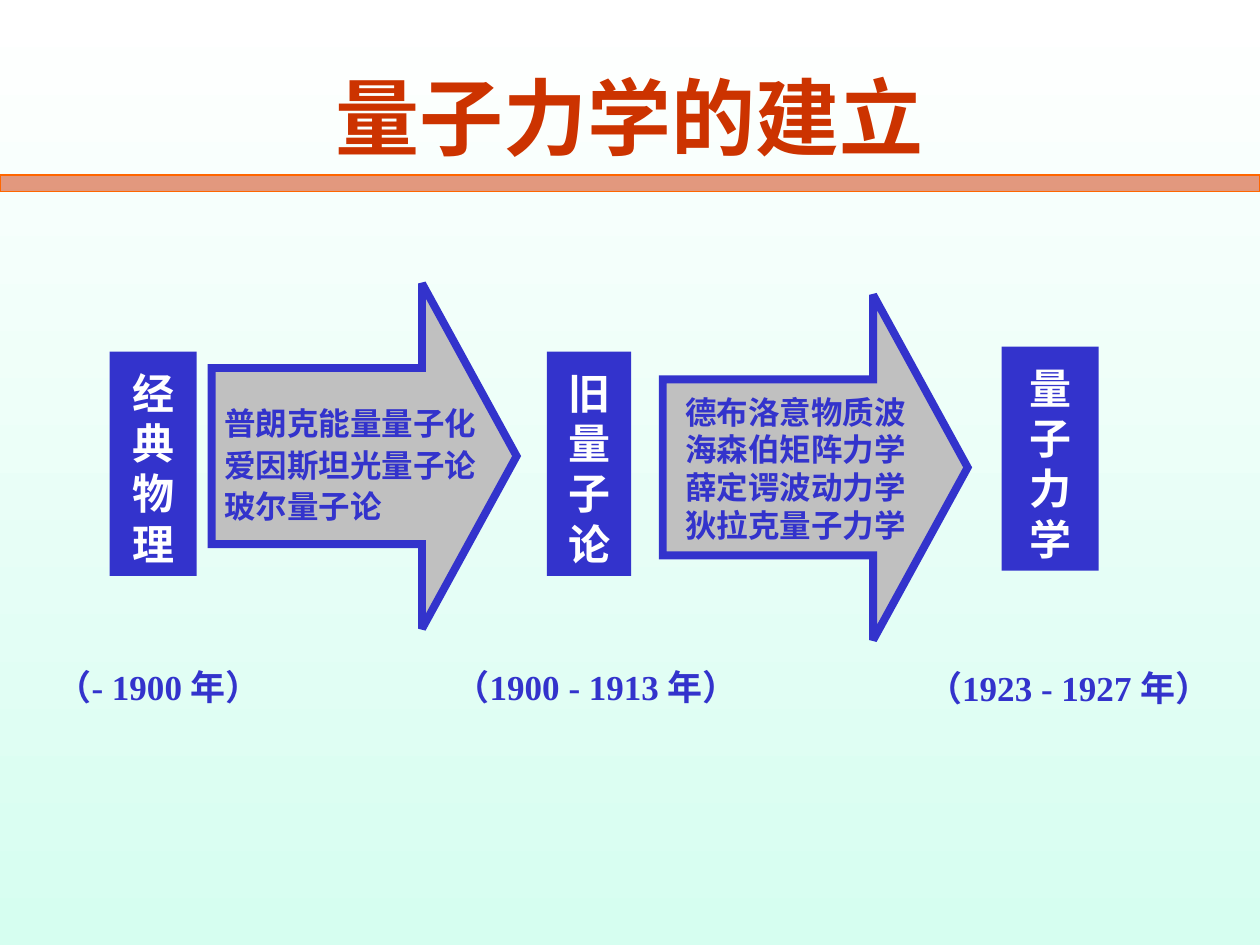
from dataclasses import dataclass

import lxml.etree
import pptx
import pptx.dml.color
import pptx.enum.shapes
import pptx.enum.text
import pptx.oxml.ns
import pptx.util

COLS, ROWS = 100, 75
BLUE, RED, GREY, WHITE = "3333CC", "CC3300", "C0C0C0", "FFFFFF"
SERIF, SANS = "Times New Roman", "Noto Sans CJK SC"
RECT = pptx.enum.shapes.MSO_SHAPE.RECTANGLE
ARROW = pptx.enum.shapes.MSO_SHAPE.RIGHT_ARROW
ALIGN = pptx.enum.text.PP_ALIGN
qn = pptx.oxml.ns.qn


@dataclass
class Box:
    """An area in grid columns and rows."""
    col: float
    row: float
    cols: float
    rows: float


@dataclass
class Era:
    name: str
    years: str
    name_box: Box
    years_box: Box


@dataclass
class Step:
    lines: list[str]
    arrow_box: Box
    text_box: Box
    gap: float


ERAS = [
    Era("经典物理", "（- 1900 年）", Box(8.7, 27.9, 6.9, 17.8), Box(3.5, 51.6, 20.7, 5.1)),
    Era("旧量子论", "（1900 - 1913 年）", Box(43.4, 27.9, 6.7, 17.8), Box(35.1, 51.6, 26.7, 5.1)),
    Era("量子力学", "（1923 - 1927 年）", Box(79.5, 27.5, 7.7, 17.8), Box(72.6, 51.7, 25.8, 5.1)),
]
STEPS = [
    Step(["普朗克能量量子化", "爱因斯坦光量子论", "玻尔量子论"],
         Box(16.8, 22.5, 24.2, 27.4), Box(16.8, 30.9, 24.6, 11.4), 2.2),
    Step(["德布洛意物质波", "海森伯矩阵力学", "薛定谔波动力学", "狄拉克量子力学"],
         Box(52.6, 23.4, 24.2, 27.4), Box(53.4, 30, 20.5, 13.8), 0),
]

prs = pptx.Presentation()
prs.slide_width, prs.slide_height = pptx.util.Inches(10), pptx.util.Inches(7.5)


def rgb(color: str) -> pptx.dml.color.RGBColor:
    return pptx.dml.color.RGBColor.from_string(color)


def place(box: Box) -> tuple[int, int, int, int]:
    """Turn a grid area into left, top, width and height."""
    w, h = prs.slide_width / COLS, prs.slide_height / ROWS
    return round(box.col * w), round(box.row * h), round(box.cols * w), round(box.rows * h)


def write(sp, lines: list[str], size: float, color: str, font: str,
          align=ALIGN.LEFT, gap: float = 0) -> None:
    tf = sp.text_frame
    tf.text = "\n".join(lines)
    tf.word_wrap = True
    tf.auto_size = pptx.enum.text.MSO_AUTO_SIZE.NONE
    tf.vertical_anchor = pptx.enum.text.MSO_ANCHOR.TOP
    tf.margin_left = tf.margin_right = pptx.util.Inches(0.1)
    # Exact line spacing trims the top of the line; the inset gives it back.
    tf.margin_top = pptx.util.Pt(6.5 + 0.1 * size)
    tf.margin_bottom = 0
    for i, p in enumerate(tf.paragraphs):
        p.alignment = align
        p.line_spacing = pptx.util.Pt(1.2 * size)
        p.space_before = pptx.util.Pt(gap if i else 0)
        for r in p.runs:
            r.font.size, r.font.bold, r.font.name = pptx.util.Pt(size), True, font
            r.font.color.rgb = rgb(color)
            ea = lxml.etree.SubElement(r.font._element, qn("a:ea"))
            ea.set("typeface", SANS)


def add_shape(s, kind, box: Box, fill: str, line: str = "", width: float = 0):
    sp = s.shapes.add_shape(kind, *place(box))
    sp.shadow.inherit = False
    sp.fill.solid()
    sp.fill.fore_color.rgb = rgb(fill)
    if line:
        sp.line.color.rgb = rgb(line)
        sp.line.width = pptx.util.Pt(width)
        miter = lxml.etree.SubElement(sp.line._get_or_add_ln(), qn("a:miter"))
        miter.set("lim", "800000")
    else:
        sp.line.fill.background()
    return sp


def add_text(s, box: Box, lines: list[str], size: float, font: str, gap: float = 0) -> None:
    write(s.shapes.add_textbox(*place(box)), lines, size, BLUE, font, gap=gap)


def add_background(s) -> None:
    fill = s.background.fill
    fill.gradient()
    fill.gradient_angle = 270
    for stop, color, position in zip(fill.gradient_stops, (WHITE, "D6FEF0"), (0, 1)):
        stop.color.rgb, stop.position = rgb(color), position


def add_title(s, text: str) -> None:
    sp = s.shapes.title
    sp.left, sp.top, sp.width, sp.height = place(Box(25.6, 3.6, 55.9, 9.8))
    write(sp, [text], 48, RED, SERIF)


def add_era(s, era: Era) -> None:
    sp = add_shape(s, RECT, era.name_box, BLUE)
    write(sp, [era.name], 24, WHITE, SANS, ALIGN.CENTER)
    add_text(s, era.years_box, [era.years], 20, SERIF)


def add_step(s, step: Step) -> None:
    sp = add_shape(s, ARROW, step.arrow_box, GREY, BLUE, 4.5)
    sp.adjustments[0], sp.adjustments[1] = 0.51, 0.31
    add_text(s, step.text_box, step.lines, 18, SANS, step.gap)


def add_divider(s) -> None:
    sp = add_shape(s, RECT, Box(0, 13.9, COLS, 1.3), RED, "FF6600", 0.75)
    color = sp._element.spPr.find(qn("a:solidFill"))[0]
    lxml.etree.SubElement(color, qn("a:alpha")).set("val", "50000")


def main() -> None:
    s = prs.slides.add_slide(prs.slide_layouts[5])
    add_background(s)
    add_title(s, "量子力学的建立")
    for era in ERAS:
        add_era(s, era)
    for step in STEPS:
        add_step(s, step)
    add_divider(s)
    prs.save("out.pptx")


if __name__ == "__main__":
    main()
